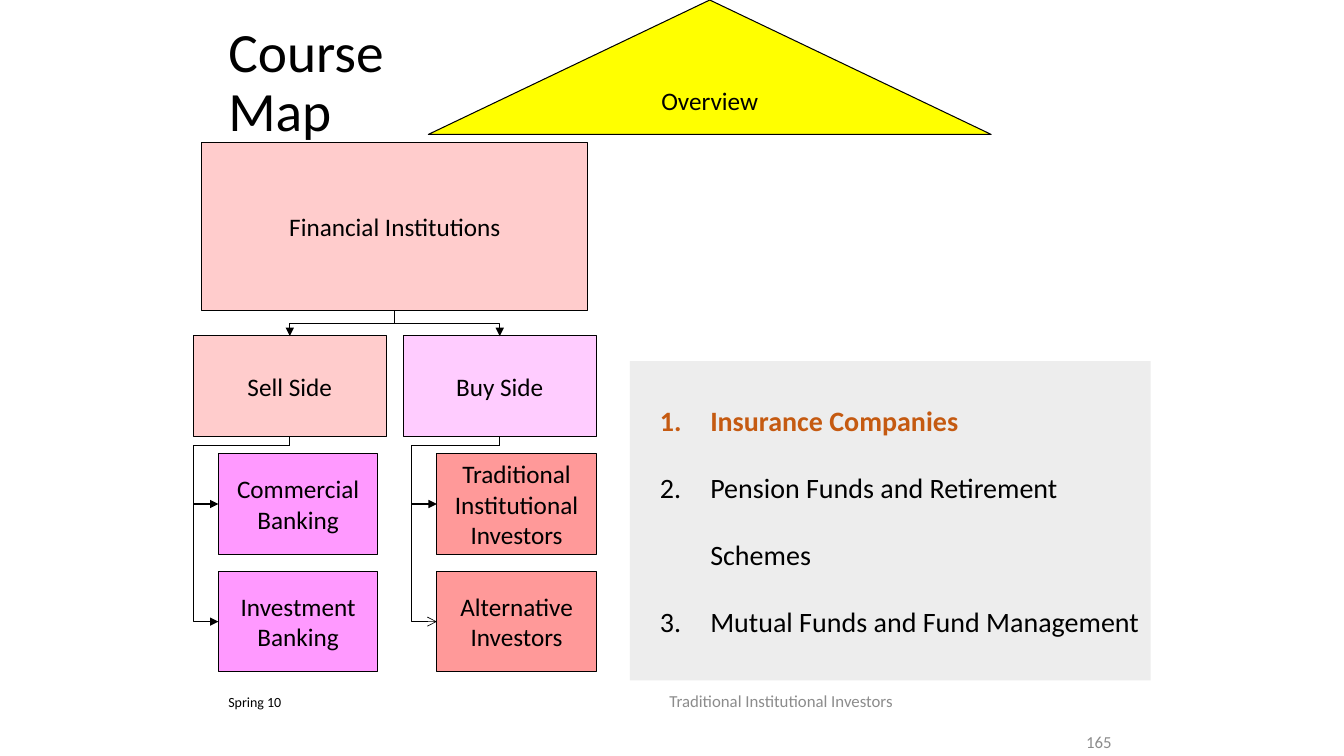
from lxml import etree
from pptx import Presentation
from pptx.dml.color import RGBColor
from pptx.enum.shapes import MSO_CONNECTOR, MSO_SHAPE
from pptx.enum.text import MSO_ANCHOR, PP_ALIGN
from pptx.oxml.ns import qn
from pptx.util import Emu, Pt

PX = 9525
FONT = "Calibri"
RECT, TRIANGLE = MSO_SHAPE.RECTANGLE, MSO_SHAPE.FLOWCHART_EXTRACT
ELBOW = MSO_CONNECTOR.ELBOW
TOP, MIDDLE = MSO_ANCHOR.TOP, MSO_ANCHOR.MIDDLE
LEFT, CENTER = PP_ALIGN.LEFT, PP_ALIGN.CENTER

BLACK = RGBColor(0x00, 0x00, 0x00)
GREY = RGBColor(0x8C, 0x8C, 0x8C)
PANEL = RGBColor(0xED, 0xED, 0xED)
ORANGE = RGBColor(0xC5, 0x5A, 0x11)
YELLOW = RGBColor(0xFF, 0xFF, 0x00)
PINK = RGBColor(0xFF, 0xCC, 0xCC)
LILAC = RGBColor(0xFF, 0xCC, 0xFF)
MAGENTA = RGBColor(0xFF, 0x99, 0xFF)
SALMON = RGBColor(0xFF, 0x99, 0x99)

# text, box, size, colour, alignment, anchor, line spacing
LABELS = [
    ("Course Map", (208, 12, 248, 136), 39.6, BLACK, LEFT, MIDDLE, 0.9),
    ("Spring 10", (208, 656, 224, 48), 10, BLACK, LEFT, TOP, None),
    ("Traditional Institutional Investors", (369, 645, 750, 45), 12, GREY, CENTER, MIDDLE, None),
    ("165", (1025, 691, 97, 31), 12, GREY, LEFT, MIDDLE, None),
]
OVERVIEW = ("Overview", (408, 0, 536, 128), YELLOW)
ROOT = ("Financial Institutions", (192, 136, 368, 160), PINK)
# side, left, colour, left of units, colour of units, left of rail, units with arrowheads
SIDES = [
    ("Sell Side", 184, PINK, 208, MAGENTA, 184,
     [("Commercial Banking", "triangle", 0.75), ("Investment Banking", "triangle", 0.75)]),
    ("Buy Side", 384, LILAC, 416, SALMON, 392,
     [("Traditional Institutional Investors", "triangle", 0.75),
      ("Alternative Investors", "arrow", 0.5)]),
]
SIDE_TOP, SIDE_W, BOX_H = 320, 184, 96
UNIT_TOP, UNIT_W, UNIT_STEP = 432, 152, 112
RAIL_DROP = 8
TOPICS_BOX = (600, 344, 496, 304)
# text, colour, bold, line spacing
TOPICS = [
    ("Insurance Companies", ORANGE, True, None),
    ("Pension Funds and Retirement Schemes", BLACK, False, 2.0),
    ("Mutual Funds and Fund Management", BLACK, False, 2.0),
]


def emu(box):
    return [Emu(v * PX) for v in box]


def add_run(p, text, size, color, bold=False):
    r = p.add_run()
    r.text = text
    r.font.name, r.font.size, r.font.bold = FONT, Pt(size), bold
    r.font.color.rgb = color


def add_label(slide, text, box, size, color, align, anchor, spacing):
    tf = slide.shapes.add_textbox(*emu(box)).text_frame
    tf.word_wrap, tf.vertical_anchor = True, anchor
    p = tf.paragraphs[0]
    p.alignment, p.line_spacing = align, spacing
    add_run(p, text, size, color)


def add_filled(slide, box, fill, kind=RECT):
    s = slide.shapes.add_shape(kind, *emu(box))
    s.shadow.inherit = False
    s.fill.solid()
    s.fill.fore_color.rgb = fill
    s.text_frame.vertical_anchor = MIDDLE
    return s


def add_node(slide, text, box, fill, kind=RECT, wrap=False):
    s = add_filled(slide, box, fill, kind)
    s.line.color.rgb, s.line.width = BLACK, Pt(0.75)
    s.text_frame.word_wrap = wrap
    p = s.text_frame.paragraphs[0]
    p.alignment = CENTER
    add_run(p, text, 18, BLACK)
    return s


def add_elbow(slide, parent, child, site, head="triangle", width=0.75, rail=None):
    """Arrow from the bottom of parent to a site of child, down a rail if one is given."""
    c = slide.shapes.add_connector(ELBOW, 0, 0, 0, 0)
    c.begin_connect(parent, 2)
    c.end_connect(child, site)
    dx, dy = c.end_x - c.begin_x, c.end_y - c.begin_y
    mid_x, mid_y = (c.begin_x + c.end_x) // 2, (c.begin_y + c.end_y) // 2
    adjusts = [0.5]
    if rail is not None:
        adjusts = [RAIL_DROP * PX / dy, (rail * PX - c.begin_x) / dx]

    # The route leaves downwards, so the frame lies on its side.
    xfrm = c._element.spPr.find(qn("a:xfrm"))
    for flip in ("flipH", "flipV"):
        xfrm.attrib.pop(flip, None)
    xfrm.set("rot", str((270 if dx > 0 else 90) * 60000))
    if dx > 0:
        xfrm.set("flipH", "1")
    c.left, c.top = mid_x - dy // 2, mid_y - abs(dx) // 2
    c.width, c.height = dy, abs(dx)

    geom = c._element.spPr.find(qn("a:prstGeom"))
    geom.set("prst", f"bentConnector{len(adjusts) + 2}")
    guides = geom.find(qn("a:avLst"))
    if guides is None:
        guides = etree.SubElement(geom, qn("a:avLst"))
    for i, value in enumerate(adjusts, 1):
        etree.SubElement(guides, qn("a:gd"), name=f"adj{i}", fmla=f"val {round(value * 100000)}")

    c.line.color.rgb, c.line.width = BLACK, Pt(width)
    etree.SubElement(c.line._get_or_add_ln(), qn("a:tailEnd"), type=head)
    etree.SubElement(c._element.spPr, qn("a:effectLst"))


def add_topics(slide):
    s = add_filled(slide, TOPICS_BOX, PANEL)
    s.line.fill.background()
    tf = s.text_frame
    tf.word_wrap = True
    for i, (text, color, bold, spacing) in enumerate(TOPICS):
        p = tf.add_paragraph() if i else tf.paragraphs[0]
        p.alignment, p.line_spacing = LEFT, spacing
        pPr = p._p.get_or_add_pPr()
        pPr.set("marL", str(67 * PX))
        pPr.set("indent", str(-48 * PX))
        etree.SubElement(pPr, qn("a:buFont"), typeface="+mj-lt")
        etree.SubElement(pPr, qn("a:buAutoNum"), type="arabicPeriod")
        add_run(p, text, 20, color, bold)


def main():
    prs = Presentation()
    prs.slide_width, prs.slide_height = emu((1280, 720))
    slide = prs.slides.add_slide(prs.slide_layouts[6])

    for label in LABELS:
        add_label(slide, *label)
    add_node(slide, *OVERVIEW, kind=TRIANGLE)
    root = add_node(slide, *ROOT)
    for name, left, fill, unit_left, unit_fill, rail, units in SIDES:
        side = add_node(slide, name, (left, SIDE_TOP, SIDE_W, BOX_H), fill)
        add_elbow(slide, root, side, 0)
        for row, (text, head, width) in enumerate(units):
            box = (unit_left, UNIT_TOP + row * UNIT_STEP, UNIT_W, BOX_H)
            unit = add_node(slide, text, box, unit_fill, wrap=True)
            add_elbow(slide, side, unit, 1, head, width, rail)
    add_topics(slide)
    prs.save("out.pptx")


if __name__ == "__main__":
    main()
